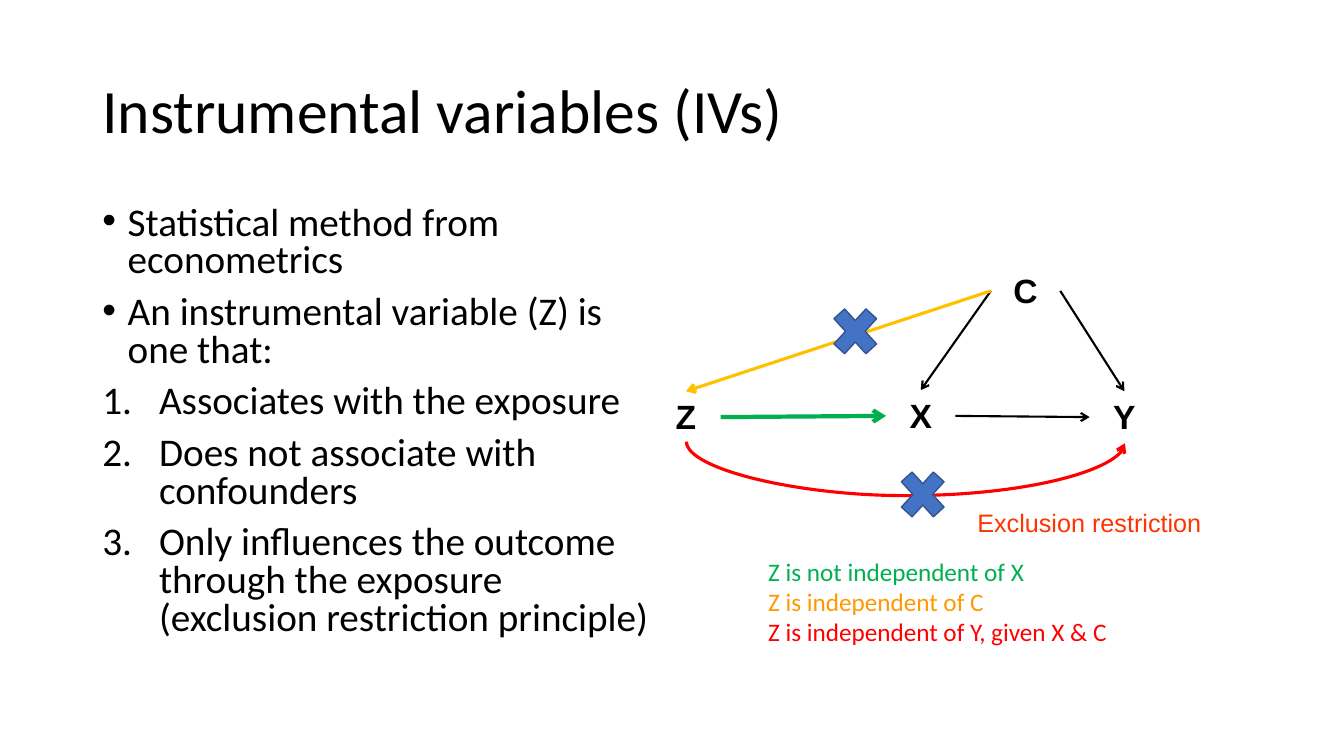
from lxml.etree import SubElement
from pptx import Presentation
from pptx.dml.color import RGBColor
from pptx.enum.shapes import MSO_CONNECTOR, MSO_SHAPE
from pptx.enum.text import MSO_ANCHOR, PP_ALIGN
from pptx.oxml.ns import qn
from pptx.util import Cm, Pt

BLACK = RGBColor(0, 0, 0)
WHITE = RGBColor(255, 255, 255)
GREEN = RGBColor(0, 176, 80)
GOLD = RGBColor(255, 192, 0)
AMBER = RGBColor(255, 153, 0)
RED = RGBColor(255, 0, 0)
ORANGE = RGBColor(255, 51, 0)
BLUE = RGBColor(68, 114, 196)
NAVY = RGBColor(50, 84, 145)

TOP, LEFT, BOTTOM, RIGHT = range(4)


def write(para, text, size=18, face="Calibri", color=BLACK, bold=False,
          align=PP_ALIGN.LEFT, lead=None, gap=0, mark=None):
    para.alignment = align
    para.space_before = Pt(gap)
    if lead:
        para.line_spacing = lead
    if mark:
        props = para._p.get_or_add_pPr()
        indent = Cm(0.64 if mark == "•" else 1.43)
        props.set("marL", str(indent))
        props.set("indent", str(-indent))
        if mark == "•":
            SubElement(props, qn("a:buFont"), typeface="Arial")
            SubElement(props, qn("a:buChar"), char=mark)
        else:
            SubElement(props, qn("a:buFont"), typeface="+mj-lt")
            SubElement(props, qn("a:buAutoNum"), type=mark)
    run = para.add_run()
    run.text = text
    run.font.size = Pt(size)
    run.font.name = face
    run.font.bold = bold
    run.font.color.rgb = color


class Board:
    face = "Arial"
    thin = 0.04

    def __init__(self, slide):
        self.shapes = slide.shapes

    def text(self, x, y, wide, high, lines, anchor=MSO_ANCHOR.TOP, **style):
        box = self.shapes.add_textbox(Cm(x), Cm(y), Cm(wide), Cm(high))
        frame = box.text_frame
        frame.word_wrap = True
        frame.vertical_anchor = anchor
        for i, (line, own) in enumerate(lines):
            para = frame.add_paragraph() if i else frame.paragraphs[0]
            look = {**style, **own}
            if not i:
                look["gap"] = 0
            write(para, line, **look)

    def shape(self, kind, x, y, wide, high, edge, width):
        item = self.shapes.add_shape(kind, Cm(x), Cm(y), Cm(wide), Cm(high))
        item.shadow.inherit = False
        item.line.color.rgb = edge
        item.line.width = Pt(width)
        return item

    def node(self, name, x, y):
        item = self.shape(MSO_SHAPE.RECTANGLE, x, y, 1.75, 1.3, WHITE, 0.75)
        item.fill.background()
        item.text_frame.vertical_anchor = MSO_ANCHOR.TOP
        write(item.text_frame.paragraphs[0], name, size=24, face=self.face,
              bold=True, align=PP_ALIGN.CENTER)
        return item

    def cross(self, x, y):
        item = self.shape(MSO_SHAPE.MATH_MULTIPLY, x, y, 1.55, 1.7, NAVY, 1)
        item.fill.solid()
        item.fill.fore_color.rgb = BLUE

    def ink(self, link, color, width):
        link.line.color.rgb = color
        link.line.width = Pt(width)
        SubElement(link.line._ln, qn("a:tailEnd"), type="arrow")
        SubElement(link._element.spPr, qn("a:effectLst"))

    def arrow(self, start, side, end, goal, color=BLACK, width=1.5):
        link = self.shapes.add_connector(MSO_CONNECTOR.STRAIGHT, 0, 0, 0, 0)
        link.begin_connect(start, side)
        link.end_connect(end, goal)
        self.ink(link, color, width)

    def arc(self, x, y, span, drop, color, width):
        left = x + (span - self.thin) / 2
        top = y + (self.thin - span) / 2
        link = self.shapes.add_connector(
            MSO_CONNECTOR.CURVE, Cm(left), Cm(top),
            Cm(left + self.thin), Cm(top + span))
        frame = link._element.spPr.find(qn("a:xfrm"))
        frame.set("rot", str(270 * 60000))
        frame.set("flipH", "1")
        bend = round(drop / self.thin * 100000)
        guides = link._element.spPr.find(qn("a:prstGeom")).find(qn("a:avLst"))
        SubElement(guides, qn("a:gd"), name="adj1", fmla=f"val {bend}")
        self.ink(link, color, width)


def main():
    deck = Presentation()
    deck.slide_width, deck.slide_height = Cm(33.87), Cm(19.05)
    board = Board(deck.slides.add_slide(deck.slide_layouts[6]))

    board.text(2.33, 1.01, 29.2, 3.68, [("Instrumental variables (IVs)", {})],
               anchor=MSO_ANCHOR.MIDDLE, size=44, lead=0.9)
    dot, count = {"mark": "•"}, {"mark": "arabicPeriod"}
    board.text(2.33, 5.07, 14.4, 12.09, [
        ("Statistical method from econometrics", dot),
        ("An instrumental variable (Z) is one that:", dot),
        ("Associates with the exposure", count),
        ("Does not associate with confounders", count),
        ("Only influences the outcome through the exposure "
         "(exclusion restriction principle)", count),
    ], size=28, lead=0.8, gap=10)

    c = board.node("C", 24.97, 6.68)
    x = board.node("X", 22.33, 9.83)
    y = board.node("Y", 27.46, 9.86)
    z = board.node("Z", 16.41, 9.86)
    board.arrow(c, LEFT, x, TOP)
    board.arrow(c, RIGHT, y, TOP)
    board.arrow(x, RIGHT, y, LEFT)
    board.arrow(z, RIGHT, x, LEFT, GREEN, 3)
    board.arrow(c, LEFT, z, TOP, GOLD, 2.25)
    board.arc(17.3, 11.13, 11.05, 1.36, RED, 2.25)
    board.cross(20.78, 7.5)
    board.cross(22.48, 11.61)

    board.text(24.38, 12.65, 7.16, 1.02, [("Exclusion restriction", {})],
               face="Arial", color=ORANGE)
    board.text(19.11, 13.89, 13.5, 2.57, [
        ("Z is not independent of X", {"color": GREEN}),
        ("Z is independent of C", {"color": AMBER}),
        ("Z is independent of Y, given X & C", {"color": RED}),
    ])
    deck.save("out.pptx")


if __name__ == "__main__":
    main()
